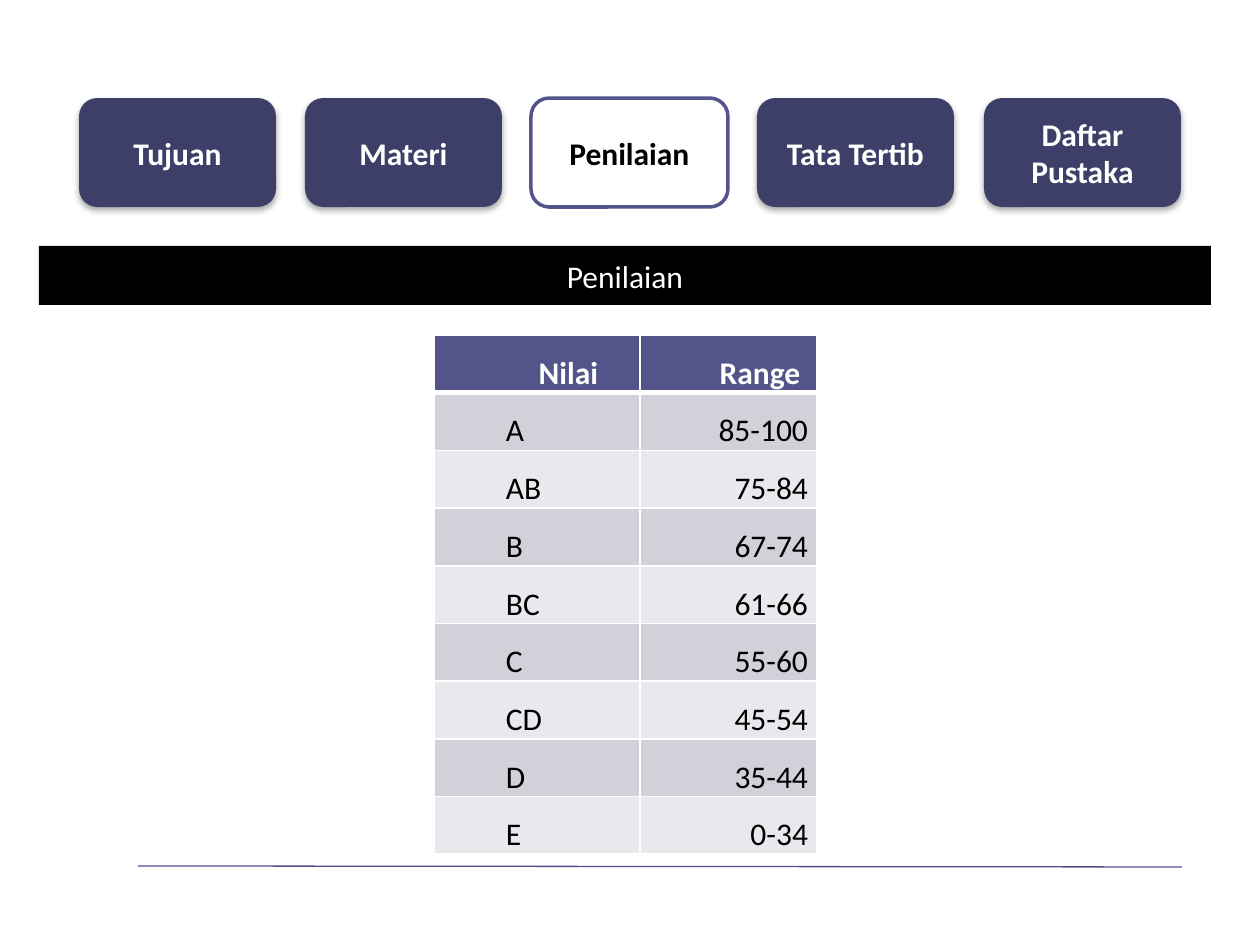
from dataclasses import dataclass

from lxml import etree
from pptx import Presentation
from pptx.dml.color import RGBColor
from pptx.enum.shapes import MSO_CONNECTOR, MSO_SHAPE
from pptx.enum.text import MSO_ANCHOR, PP_ALIGN
from pptx.oxml.ns import qn
from pptx.util import Emu, Pt

RECT, ROUND = MSO_SHAPE.RECTANGLE, MSO_SHAPE.ROUNDED_RECTANGLE
STRAIGHT = MSO_CONNECTOR.STRAIGHT
MIDDLE = MSO_ANCHOR.MIDDLE
LEFT, CENTER, RIGHT = PP_ALIGN.LEFT, PP_ALIGN.CENTER, PP_ALIGN.RIGHT


@dataclass(frozen=True)
class Theme:
    font: str = "Calibri"
    size: int = 18
    white: str = "FFFFFF"
    black: str = "000000"
    tab: str = "3E3F68"
    accent: str = "53548A"
    rule: str = "505188"
    bands: tuple = ("D1D1DA", "E9E9ED")


THEME = Theme()
TABS = ["Tujuan", "Materi", "Penilaian", "Tata Tertib", "Daftar Pustaka"]
ACTIVE = "Penilaian"
GRADES = [
    ("Nilai", "Range"),
    ("A", "85-100"),
    ("AB", "75-84"),
    ("B", "67-74"),
    ("BC", "61-66"),
    ("C", "55-60"),
    ("CD", "45-54"),
    ("D", "35-44"),
    ("E", "0-34"),
]


def px(n):
    return Emu(n * 914400 // 126)


def rgb(value):
    return RGBColor.from_string(value)


def set_text(tf, text, color, bold=False, align=CENTER):
    tf.text = text
    p = tf.paragraphs[0]
    p.alignment = align
    font = p.runs[0].font
    font.name, font.size, font.bold = THEME.font, Pt(THEME.size), bold
    font.color.rgb = rgb(color)
    return p


def add_box(slide, kind, x, y, w, h, text, fill, color, bold=False):
    s = slide.shapes.add_shape(kind, px(x), px(y), px(w), px(h))
    s.shadow.inherit = False
    s.fill.solid()
    s.fill.fore_color.rgb = rgb(fill)
    s.line.fill.background()
    s.text_frame.word_wrap = True
    s.text_frame.vertical_anchor = MIDDLE
    set_text(s.text_frame, text, color, bold)
    return s


def add_shadow(s):
    effects = s._element.spPr.find(qn("a:effectLst"))
    shadow = etree.SubElement(effects, qn("a:outerShdw"), blurRad=str(Pt(3.5)),
                              dist=str(Pt(2.2)), dir="5400000", rotWithShape="0")
    color = etree.SubElement(shadow, qn("a:srgbClr"), val=THEME.black)
    etree.SubElement(color, qn("a:alpha"), val="32000")


def add_tab(slide, x, text):
    active = text == ACTIVE
    fill, color = (THEME.white, THEME.black) if active else (THEME.tab, THEME.white)
    s = add_box(slide, ROUND, x, 98, 197, 109, text, fill, color, bold=True)
    if active:
        s.line.color.rgb = rgb(THEME.accent)
        s.line.width = Pt(2)
    else:
        add_shadow(s)


def add_rule(slide, x1, y1, x2, y2):
    line = slide.shapes.add_connector(STRAIGHT, px(x1), px(y1), px(x2), px(y2))
    line.line.color.rgb = rgb(THEME.rule)
    line.line.width = Pt(0.75)
    etree.SubElement(line._element.spPr, qn("a:effectLst"))


def set_borders(cell, top, bottom):
    tc_pr = cell._tc.get_or_add_tcPr()
    for side, width in (("L", 1), ("R", 1), ("T", top), ("B", bottom)):
        ln = etree.SubElement(tc_pr, qn(f"a:ln{side}"), w=str(Pt(width)))
        fill = etree.SubElement(ln, qn("a:solidFill"))
        etree.SubElement(fill, qn("a:srgbClr"), val=THEME.white)


def style_cell(cell, text, row, col):
    header = row == 0
    # Borders come before the fill in the cell properties
    set_borders(cell, top=3 if row == 1 else 1, bottom=3 if header else 1)
    cell.fill.solid()
    cell.fill.fore_color.rgb = rgb(THEME.accent if header else THEME.bands[(row - 1) % 2])
    cell.vertical_anchor = MIDDLE
    cell.margin_left = cell.margin_right = px(9)
    cell.margin_top = cell.margin_bottom = 0
    align = CENTER if header else (LEFT, RIGHT)[col]
    p = set_text(cell.text_frame, text, THEME.white if header else THEME.black, header, align)
    p.line_spacing = 1.5
    p_pr = p._p.get_or_add_pPr()
    p_pr.set("marL", str(px(63)))
    p_pr.set("indent", "0")


def add_grades(slide, x, y, widths, row_height):
    frame = slide.shapes.add_table(len(GRADES), len(widths), px(x), px(y),
                                   px(sum(widths)), px(row_height * len(GRADES)))
    table = frame.table
    for column, width in zip(table.columns, widths):
        column.width = px(width)
    for r, values in enumerate(GRADES):
        for c, text in enumerate(values):
            style_cell(table.cell(r, c), text, r, c)


def main():
    prs = Presentation()
    prs.slide_width, prs.slide_height = px(1260), px(945)
    slide = prs.slides.add_slide(prs.slide_layouts[6])

    # Footer rule
    add_rule(slide, 138, 866, 1182, 867)

    # Navigation tabs, evenly spread
    first, last = 79, 984
    for i, text in enumerate(TABS):
        add_tab(slide, first + (last - first) * i // (len(TABS) - 1), text)

    # Section title bar
    add_box(slide, RECT, 39, 246, 1172, 59, ACTIVE, THEME.black, THEME.white)

    # Grade ranges
    add_grades(slide, 434, 335, (206, 177), 52)

    prs.save("out.pptx")


if __name__ == "__main__":
    main()
